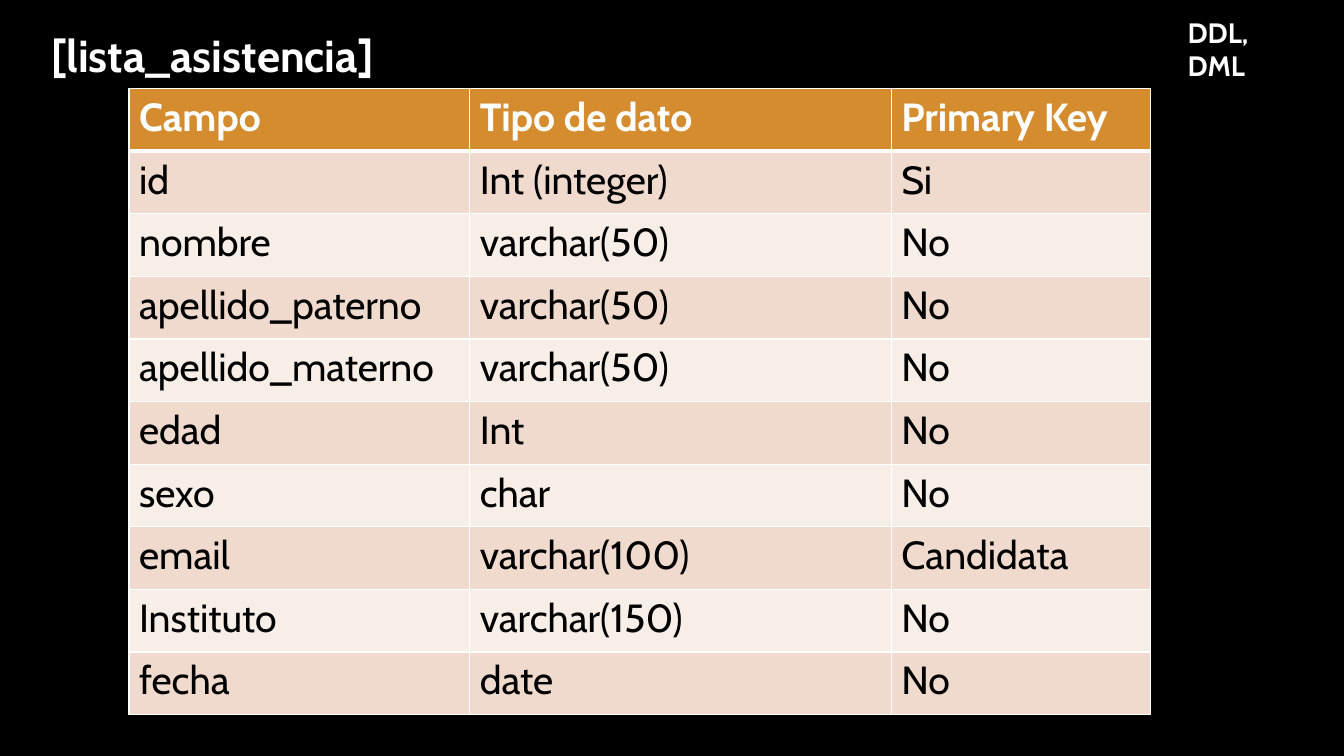
from dataclasses import dataclass

from lxml import etree
from pptx import Presentation
from pptx.dml.color import RGBColor
from pptx.enum.text import MSO_ANCHOR, MSO_AUTO_SIZE, PP_ALIGN
from pptx.oxml.ns import qn
from pptx.util import Inches, Pt

LEFT = PP_ALIGN.LEFT
TOP = MSO_ANCHOR.TOP
NO_AUTOFIT = MSO_AUTO_SIZE.NONE
TITLE_ONLY = 5


@dataclass(frozen=True)
class Theme:
    font: str = "Cabin"
    background: str = "000000"
    light: str = "FFFFFF"
    dark: str = "000000"
    header: str = "D58C2E"
    bands: tuple = ("EFDACD", "F7EEE8")
    title_size: int = 32
    table_size: int = 28
    tag_size: int = 20
    thin: int = 1
    thick: int = 3


THEME = Theme()

# Table grid, in inches
TABLE_LEFT, TABLE_TOP = 1.28, 0.88
COLUMNS = (3.38, 4.18, 2.57)
TABLE_HEIGHT = 6.21

FIELDS = (
    ("Campo", "Tipo de dato", "Primary Key"),
    ("id", "Int (integer)", "Si"),
    ("nombre", "varchar(50)", "No"),
    ("apellido_paterno", "varchar(50)", "No"),
    ("apellido_materno", "varchar(50)", "No"),
    ("edad", "Int", "No"),
    ("sexo", "char", "No"),
    ("email", "varchar(100)", "Candidata"),
    ("Instituto", "varchar(150)", "No"),
    ("fecha", "date", "No"),
)


def set_text(tf, text, size, color, bold):
    tf.text = text
    p = tf.paragraphs[0]
    p.alignment = LEFT
    font = p.runs[0].font
    font.name = THEME.font
    font.size = Pt(size)
    font.bold = bold
    font.color.rgb = RGBColor.from_string(color)


def set_heading(sp, box, text, size):
    sp.left, sp.top, sp.width, sp.height = (Inches(v) for v in box)
    tf = sp.text_frame
    tf.word_wrap = True
    tf.auto_size = NO_AUTOFIT
    tf.vertical_anchor = TOP
    set_text(tf, text, size, THEME.light, True)


def set_borders(cell, top, bottom):
    # Border lines come before the fill in the cell properties
    tc_pr = cell._tc.get_or_add_tcPr()
    widths = {"lnL": THEME.thin, "lnR": THEME.thin, "lnT": top, "lnB": bottom}
    for i, (side, width) in enumerate(widths.items()):
        ln = etree.Element(qn(f"a:{side}"), w=str(Pt(width)))
        fill = etree.SubElement(ln, qn("a:solidFill"))
        etree.SubElement(fill, qn("a:srgbClr"), val=THEME.light)
        tc_pr.insert(i, ln)


def style_cell(cell, text, row):
    header = row == 0
    fill = THEME.header if header else THEME.bands[(row - 1) % 2]
    cell.fill.solid()
    cell.fill.fore_color.rgb = RGBColor.from_string(fill)
    color = THEME.light if header else THEME.dark
    set_text(cell.text_frame, text, THEME.table_size, color, header)
    set_borders(
        cell,
        top=THEME.thick if row == 1 else THEME.thin,
        bottom=THEME.thick if header else THEME.thin,
    )


def add_field_table(s):
    table = s.shapes.add_table(
        len(FIELDS), len(COLUMNS), Inches(TABLE_LEFT), Inches(TABLE_TOP),
        Inches(sum(COLUMNS)), Inches(TABLE_HEIGHT),
    ).table
    for column, width in zip(table.columns, COLUMNS):
        column.width = Inches(width)
    for row, field in enumerate(FIELDS):
        for col, text in enumerate(field):
            style_cell(table.cell(row, col), text, row)


def main():
    prs = Presentation()
    prs.slide_width, prs.slide_height = Inches(13.33), Inches(7.5)
    s = prs.slides.add_slide(prs.slide_layouts[TITLE_ONLY])
    s.background.fill.solid()
    s.background.fill.fore_color.rgb = RGBColor.from_string(THEME.background)

    # Field definitions
    add_field_table(s)

    # Table name and topic tag
    set_heading(s.shapes.title, (0.41, 0.22, 3.81, 0.64),
                "[lista_asistencia]", THEME.title_size)
    tag = s.shapes.add_textbox(0, 0, 0, 0)
    set_heading(tag, (11.68, 0.1, 1.36, 0.44), "DDL, DML", THEME.tag_size)

    prs.save("out.pptx")


if __name__ == "__main__":
    main()
